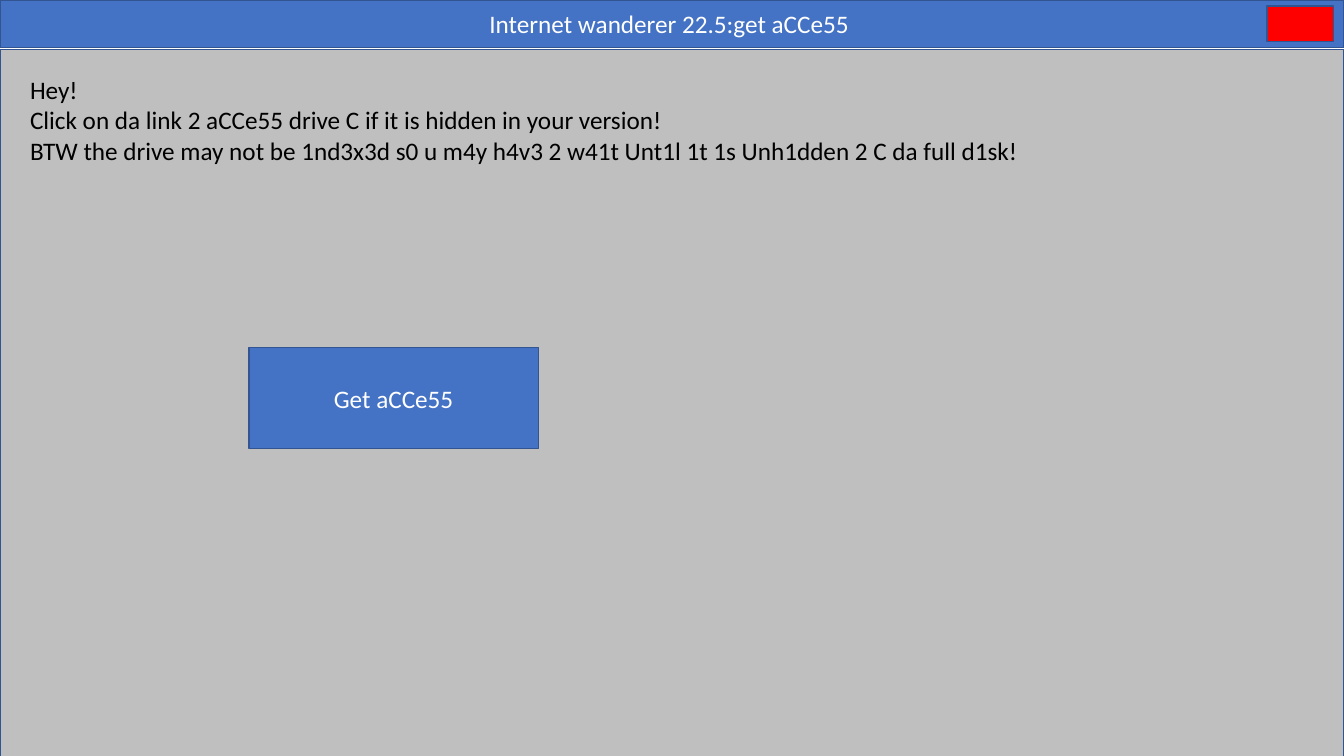
from pptx import Presentation, util as u
from pptx.dml.color import RGBColor
from pptx.enum import shapes, text

WIDE, HIGH = 960, 540
BLUE, GREY, RED = "4472C4", "BFBFBF", "FF0000"
EDGE, WHITE, BLACK = "325491", "FFFFFF", "000000"

PANES = [
    ((0, 0, WIDE, 33.84), BLUE, "Internet wanderer 22.5:get aCCe55 "),
    ((0, 35.28, WIDE, 506.16), GREY, ""),
    ((905.04, 4.32, 47.52, 25.2), RED, ""),
    ((177.84, 248.4, 206.64, 72), BLUE, "Get aCCe55"),
]
NOTE_BOX = (14.4, 49.68, 928.8, 94.32)
NOTE = [
    "Hey!",
    "Click on da link 2 aCCe55 drive C if it is hidden in your version!",
    "BTW the drive may not be 1nd3x3d s0 u m4y h4v3 2 w41t Unt1l 1t 1s Unh1dden 2 C da full d1sk!",
]


def paint(color, code):
    color.rgb = RGBColor.from_string(code)


def write(frame, words, code, align):
    frame.word_wrap = True
    frame.text = words
    for para in frame.paragraphs:
        para.alignment = align
        for run in para.runs:
            run.font.name = "Calibri"
            run.font.size = u.Pt(18)
            paint(run.font.color, code)


def add_pane(slide, box, fill, words):
    pane = slide.shapes.add_shape(shapes.MSO_SHAPE.RECTANGLE, *map(u.Pt, box))
    pane.shadow.inherit = False
    pane.fill.solid()
    paint(pane.fill.fore_color, fill)
    paint(pane.line.color, EDGE)
    pane.line.width = u.Pt(1)
    if words:
        pane.text_frame.vertical_anchor = text.MSO_ANCHOR.MIDDLE
        write(pane.text_frame, words, WHITE, text.PP_ALIGN.CENTER)


def main():
    deck = Presentation()
    deck.slide_width, deck.slide_height = u.Pt(WIDE), u.Pt(HIGH)
    slide = deck.slides.add_slide(deck.slide_layouts[6])
    for pane in PANES:
        add_pane(slide, *pane)
    note = slide.shapes.add_textbox(*map(u.Pt, NOTE_BOX))
    write(note.text_frame, "\n".join(NOTE), BLACK, text.PP_ALIGN.LEFT)
    deck.save("out.pptx")


if __name__ == "__main__":
    main()
